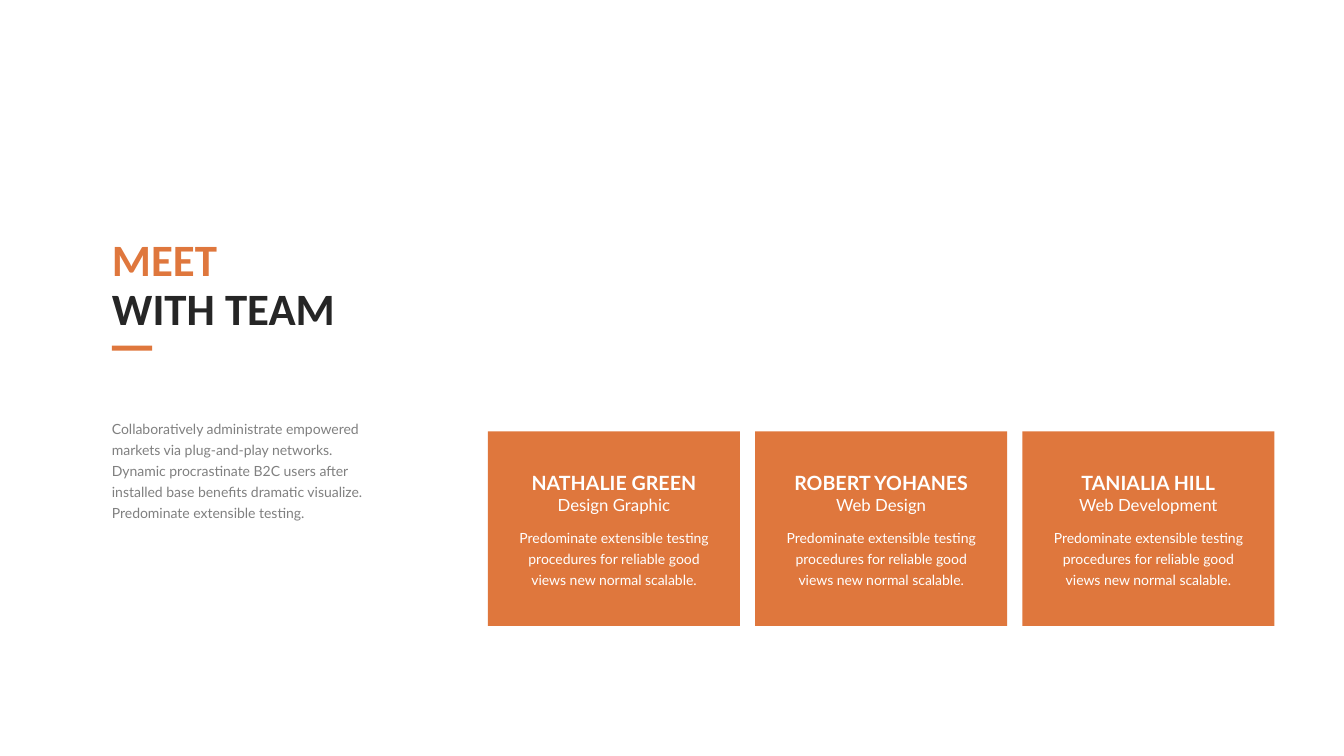
from pptx import Presentation
from pptx.dml.color import RGBColor as RGB
from pptx.enum.shapes import MSO_SHAPE as Shape
from pptx.enum.text import MSO_ANCHOR as Anchor, MSO_AUTO_SIZE as Auto, PP_ALIGN as Align
from pptx.util import Inches, Pt

COLORS = {"orange": "DF773D", "dark": "262626", "gray": "808080", "white": "FFFFFF"}

deck = Presentation()
deck.slide_width, deck.slide_height = Inches(13.33), Inches(7.5)
slide = deck.slides.add_slide(deck.slide_layouts[5])  # Title Only


def write(box, text, size=10, color="white", font="Lato", bold=False,
          align=Align.CENTER, lead=None, anchor=Anchor.TOP):
    """Add one formatted paragraph to a box."""
    frame = box.text_frame
    frame.word_wrap = True
    frame.auto_size = Auto.NONE
    frame.vertical_anchor = anchor
    frame.margin_left = frame.margin_right = frame.margin_top = frame.margin_bottom = 0
    para = frame.add_paragraph() if frame.text else frame.paragraphs[0]
    para.alignment = align
    if lead:
        para.line_spacing = Pt(lead)
    run = para.add_run()
    run.text = text
    run.font.size, run.font.name, run.font.bold = Pt(size), font, bold
    run.font.color.rgb = RGB.from_string(COLORS[color])


def block(left, top, width, height):
    """Draw a plain orange rectangle."""
    rect = slide.shapes.add_shape(
        Shape.RECTANGLE, Inches(left), Inches(top), Inches(width), Inches(height))
    rect.shadow.inherit = False
    rect.fill.solid()
    rect.fill.fore_color.rgb = RGB.from_string(COLORS["orange"])
    rect.line.fill.background()


# Title with its accent bar
title = slide.shapes.title
title.left, title.top = Inches(1.11), Inches(2.34)
title.width, title.height = Inches(2.74), Inches(0.98)
for text, color in [("MEET", "orange"), ("WITH TEAM", "dark")]:
    write(title, text, size=32, color=color, font="Calibri", bold=True,
          align=Align.LEFT, lead=35, anchor=Anchor.MIDDLE)
block(1.11, 3.43, 0.4, 0.05)

# Introduction
intro = slide.shapes.add_textbox(Inches(1.11), Inches(4.13), Inches(2.62), Inches(1.03))
write(intro, "Collaboratively administrate empowered markets via plug-and-play networks. "
      "Dynamic procrastinate B2C users after installed base benefits dramatic visualize. "
      "Predominate extensible testing.", color="gray", align=Align.LEFT, lead=15)

# Team cards
CARD, GAP = 2.5, 0.15
ABOUT = "Predominate extensible testing procedures for reliable good views new normal scalable."
TEAM = [("NATHALIE GREEN", "Design Graphic"),
        ("ROBERT YOHANES", "Web Design"),
        ("TANIALIA HILL", "Web Development")]
for i, (name, role) in enumerate(TEAM):
    left = 4.84 + i * (CARD + GAP)
    block(left, 4.28, CARD, 1.93)
    rows = [(name, 4.67, 1.8, 0.24, {"size": 14, "bold": True}),
            (role, 4.91, 2.07, 0.2, {"size": 12}),
            (ABOUT, 5.21, 2.07, 0.61, {"lead": 15})]
    for text, top, width, height, style in rows:
        box = slide.shapes.add_textbox(
            Inches(left + (CARD - width) / 2), Inches(top), Inches(width), Inches(height))
        write(box, text, **style)

deck.save("out.pptx")
